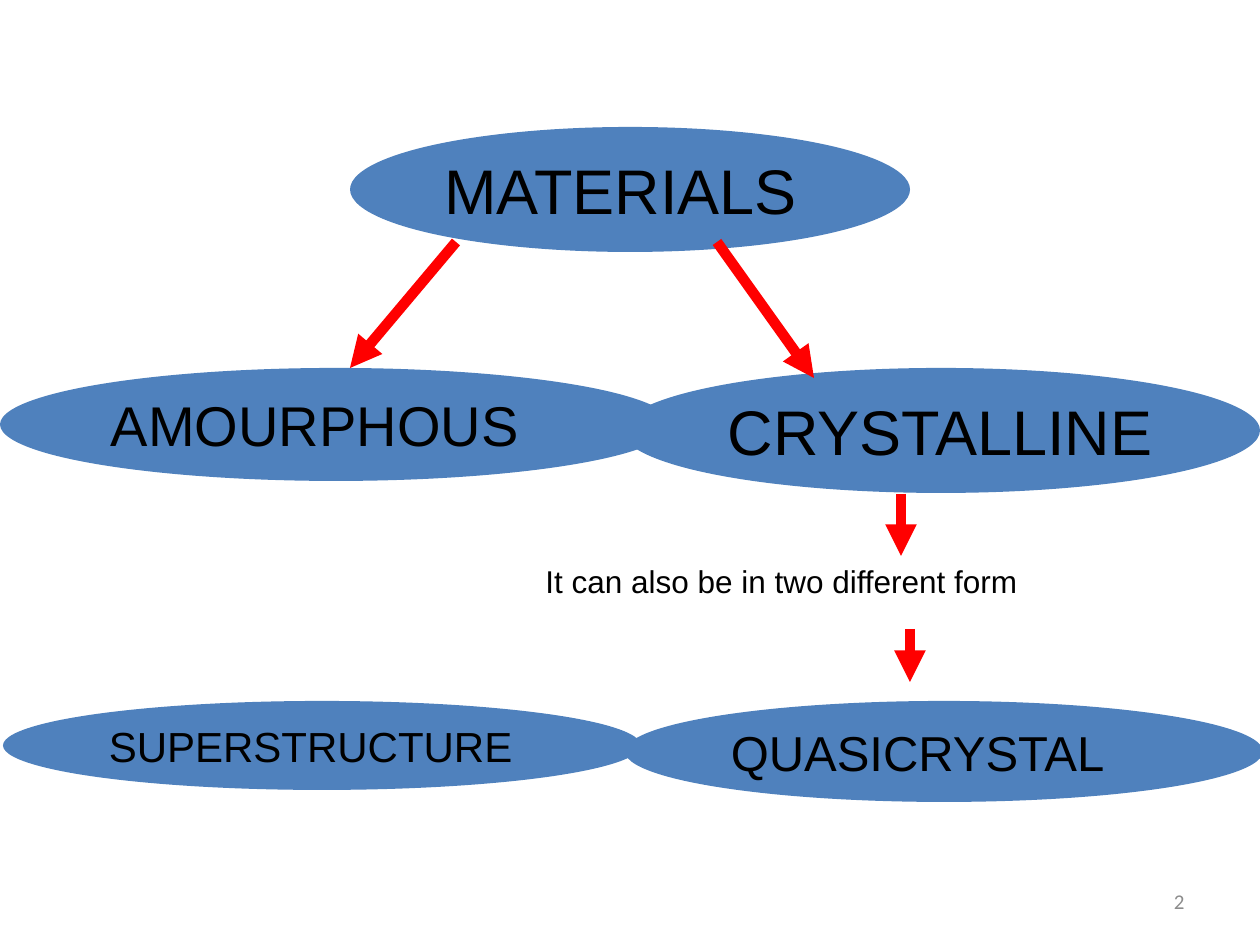
"""Build a slide that sorts materials into their structural forms."""
from lxml import etree
from pptx import Presentation
from pptx.dml.color import RGBColor
from pptx.enum.shapes import MSO_CONNECTOR, MSO_SHAPE
from pptx.enum.text import MSO_ANCHOR, PP_ALIGN
from pptx.oxml.ns import qn
from pptx.util import Pt

OVAL = MSO_SHAPE.OVAL
LINE = MSO_CONNECTOR.STRAIGHT
TOP, MIDDLE = MSO_ANCHOR.TOP, MSO_ANCHOR.MIDDLE
LEFT, RIGHT = PP_ALIGN.LEFT, PP_ALIGN.RIGHT
BLUE = RGBColor(0x4F, 0x81, 0xBD)
RED = RGBColor(0xFF, 0x00, 0x00)
BLACK = RGBColor(0x00, 0x00, 0x00)
GREY = RGBColor(0x8C, 0x8C, 0x8C)
SCALE = 914400 / 126


def emu(*sizes):
    return [round(size * SCALE) for size in sizes]


def write(shape, text, size, font="Arial", color=BLACK, align=LEFT,
          anchor=MIDDLE, wrap=True):
    frame = shape.text_frame
    frame.word_wrap = wrap
    frame.vertical_anchor = anchor
    para = frame.paragraphs[0]
    para.alignment = align
    run = para.add_run()
    run.text = text
    run.font.size = Pt(size)
    run.font.name = font
    run.font.color.rgb = color


deck = Presentation()
deck.slide_width, deck.slide_height = emu(1260, 945)
slide = deck.slides.add_slide(deck.slide_layouts[6])
shapes = slide.shapes

number = shapes.add_textbox(*emu(903, 876, 294, 50))
write(number, "2", 12, font="Calibri", color=GREY, align=RIGHT)

OVALS = [
    ("MATERIALS", 36, 350, 127, 560, 125),
    ("AMOURPHOUS", 32, 0, 368, 672, 113),
    ("CRYSTALLINE", 36, 622, 368, 638, 125),
    ("SUPERSTRUCTURE", 24, 3, 701, 638, 89),
    ("QUASICRYSTAL", 28, 625, 701, 638, 101),
]
for text, size, *box in OVALS:
    oval = shapes.add_shape(OVAL, *emu(*box))
    oval.shadow.inherit = False
    oval.fill.solid()
    oval.fill.fore_color.rgb = BLUE
    oval.line.fill.background()
    oval.text_frame.margin_right = 0
    write(oval, text, size)

note = shapes.add_textbox(*emu(533, 556, 501, 50))
write(note, "It can also be in two different form", 18, anchor=TOP, wrap=False)

ARROWS = [
    (456, 242, 350, 368),
    (717, 242, 814, 378),
    (901, 494, 901, 556),
    (910, 629, 910, 682),
]
for ends in ARROWS:
    arrow = shapes.add_connector(LINE, *emu(*ends))
    arrow.line.color.rgb = RED
    arrow.line.width = Pt(6)
    edge = arrow.line._get_or_add_ln()
    etree.SubElement(edge, qn("a:tailEnd"), type="triangle")
    etree.SubElement(arrow._element.spPr, qn("a:effectLst"))

deck.save("out.pptx")
